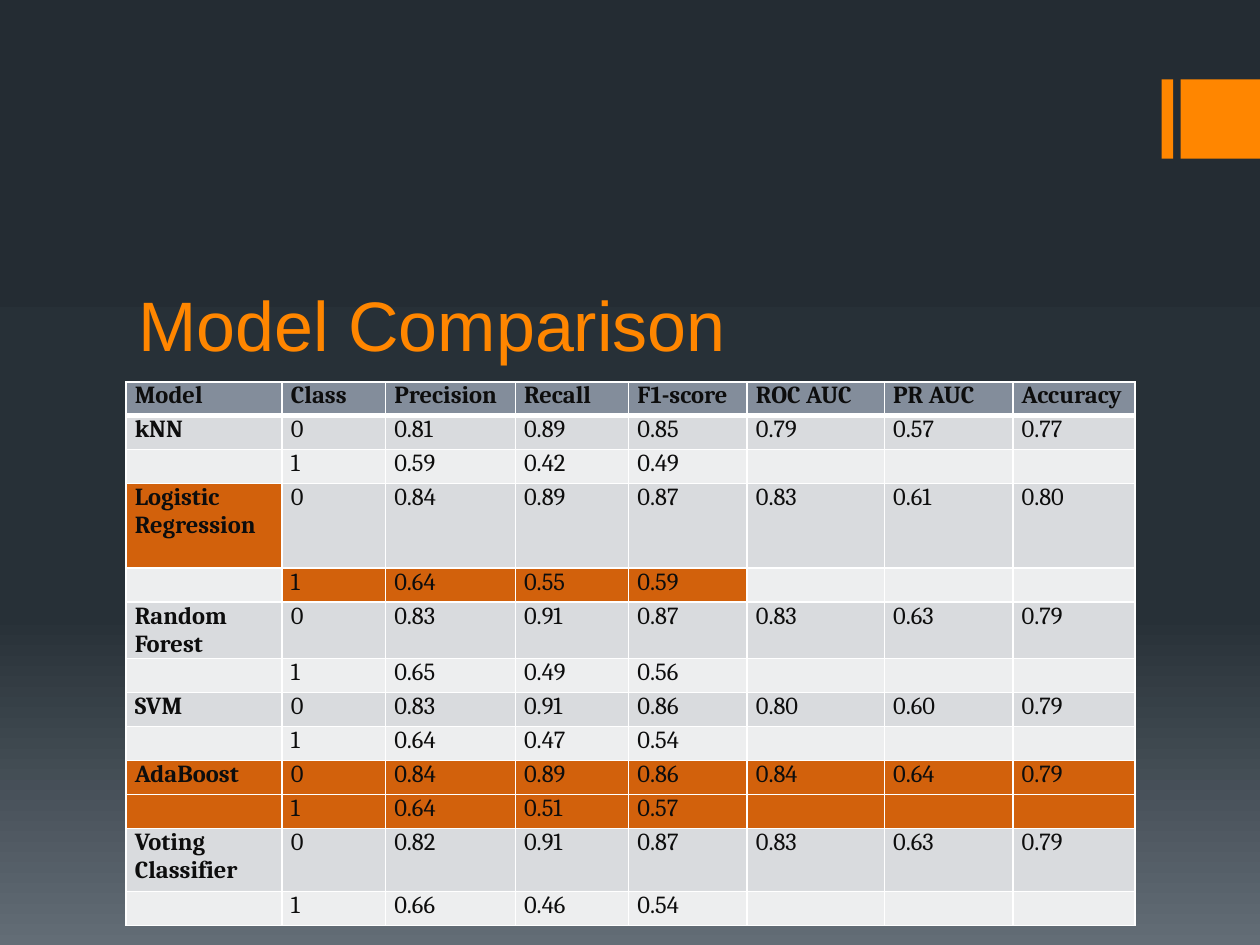
from copy import deepcopy

from lxml import etree
from pptx import Presentation
from pptx.dml.color import RGBColor
from pptx.enum.shapes import MSO_SHAPE
from pptx.enum.text import MSO_ANCHOR, MSO_AUTO_SIZE, PP_ALIGN
from pptx.oxml.ns import qn
from pptx.util import Inches, Pt

RECTANGLE = MSO_SHAPE.RECTANGLE
BOTTOM = MSO_ANCHOR.BOTTOM
NO_AUTOFIT = MSO_AUTO_SIZE.NONE
LEFT = PP_ALIGN.LEFT
TITLE_ONLY = 5

ORANGE, HIGHLIGHT = "FF8600", "D2610C"
HEADER, BAND_DARK, BAND_LIGHT = "838D9B", "D9DBDE", "EDEEEF"
WHITE, INK = "FFFFFF", "0D0D0D"
BACKGROUND_STOPS = [(0, "242C33"), (0.65, "273037"), (1, "636D76")]

COLUMN_WIDTHS = [1.24, 0.82, 1.03, 0.9, 0.94, 1.09, 1.02, 0.97]
ROW_HEIGHT = 0.27
TALL_ROWS = {3: 0.67, 5: 0.44, 11: 0.5}
TABLE_SIZE = 14

HEADINGS = ["Model", "Class", "Precision", "Recall", "F1-score",
            "ROC AUC", "PR AUC", "Accuracy"]
# Model, class 0 scores followed by overall scores, class 1 scores
MODELS = [
    ("kNN", "0.81 0.89 0.85 0.79 0.57 0.77", "0.59 0.42 0.49"),
    ("Logistic Regression", "0.84 0.89 0.87 0.83 0.61 0.80", "0.64 0.55 0.59"),
    ("Random Forest", "0.83 0.91 0.87 0.83 0.63 0.79", "0.65 0.49 0.56"),
    ("SVM", "0.83 0.91 0.86 0.80 0.60 0.79", "0.64 0.47 0.54"),
    ("AdaBoost", "0.84 0.89 0.86 0.84 0.64 0.79", "0.64 0.51 0.57"),
    ("Voting Classifier", "0.82 0.91 0.87 0.83 0.63 0.79", "0.66 0.46 0.54"),
]
# Highlighted columns by table row
HIGHLIGHTS = {3: range(1), 4: range(1, 5), 9: range(8), 10: range(8)}


def color(hex_string):
    return RGBColor.from_string(hex_string)


def set_background(slide):
    fill = slide.background.fill
    fill.gradient()
    fill.gradient_angle = 270
    stop_list = slide.element.find(".//" + qn("a:gsLst"))
    stop_list.append(deepcopy(stop_list[0]))
    for stop, (position, hex_string) in zip(fill.gradient_stops, BACKGROUND_STOPS):
        stop.position = position
        stop.color.rgb = color(hex_string)


def add_accent_bar(slide, left, width):
    shape = slide.shapes.add_shape(
        RECTANGLE, Inches(left), Inches(0.63), Inches(width), Inches(0.63))
    shape.shadow.inherit = False
    shape.fill.solid()
    shape.fill.fore_color.rgb = color(ORANGE)
    shape.line.fill.background()


def set_title(slide, text):
    title = slide.shapes.title
    title.left, title.top = Inches(1), Inches(1.69)
    title.width, title.height = Inches(8), Inches(1.26)
    frame = title.text_frame
    frame.text = text
    frame.auto_size = NO_AUTOFIT
    frame.vertical_anchor = BOTTOM
    paragraph = frame.paragraphs[0]
    paragraph.alignment = LEFT
    font = paragraph.runs[0].font
    font.name, font.size = "Arial", Pt(40)
    font.color.rgb = color(ORANGE)


def set_borders(cell, widths):
    """Draw white borders; widths are points for left, right, top, bottom."""
    properties = cell._tc.get_or_add_tcPr()
    for index, (side, width) in enumerate(zip("LRTB", widths)):
        line = etree.Element(qn(f"a:ln{side}"), w=str(Pt(width)))
        fill = etree.SubElement(line, qn("a:solidFill"))
        etree.SubElement(fill, qn("a:srgbClr"), val=WHITE)
        properties.insert(index, line)


def set_cell(cell, text, fill, bold):
    cell.margin_left = cell.margin_right = Inches(0.07)
    cell.margin_top = cell.margin_bottom = 0
    cell.fill.solid()
    cell.fill.fore_color.rgb = color(fill)
    paragraph = cell.text_frame.paragraphs[0]
    if not text:
        # Keeps an empty cell as low as its row
        etree.SubElement(paragraph._p, qn("a:endParaRPr"), sz=str(TABLE_SIZE * 100))
        return
    paragraph.text = text
    font = paragraph.runs[0].font
    font.name, font.size, font.bold = "Cambria", Pt(TABLE_SIZE), bold
    font.color.rgb = color(INK)


def table_rows():
    rows = [HEADINGS]
    for model, first_scores, second_scores in MODELS:
        rows.append([model, "0", *first_scores.split()])
        rows.append(["", "1", *second_scores.split(), "", "", ""])
    return rows


def cell_fill(row, column):
    if row == 0:
        return HEADER
    if column in HIGHLIGHTS.get(row, ()):
        return HIGHLIGHT
    return BAND_DARK if row % 2 else BAND_LIGHT


def add_comparison_table(slide):
    rows = table_rows()
    heights = [TALL_ROWS.get(row, ROW_HEIGHT) for row in range(len(rows))]
    table = slide.shapes.add_table(
        len(rows), len(HEADINGS), Inches(1), Inches(3.03),
        Inches(sum(COLUMN_WIDTHS)), Inches(sum(heights))).table
    for column, width in zip(table.columns, COLUMN_WIDTHS):
        column.width = Inches(width)
    for row, (values, height) in enumerate(zip(rows, heights)):
        table.rows[row].height = Inches(height)
        # The rule under the header is thicker
        borders = (1, 1, 3 if row == 1 else 1, 3 if row == 0 else 1)
        for column, value in enumerate(values):
            cell = table.cell(row, column)
            set_cell(cell, value, cell_fill(row, column), row == 0 or column == 0)
            set_borders(cell, borders)


def main():
    presentation = Presentation()
    presentation.slide_width, presentation.slide_height = Inches(10), Inches(7.5)
    slide = presentation.slides.add_slide(presentation.slide_layouts[TITLE_ONLY])
    set_background(slide)
    # Accent bars at the right edge
    add_accent_bar(slide, 9.22, 0.09)
    add_accent_bar(slide, 9.37, 0.63)
    set_title(slide, "Model Comparison")
    add_comparison_table(slide)
    presentation.save("out.pptx")


if __name__ == "__main__":
    main()
